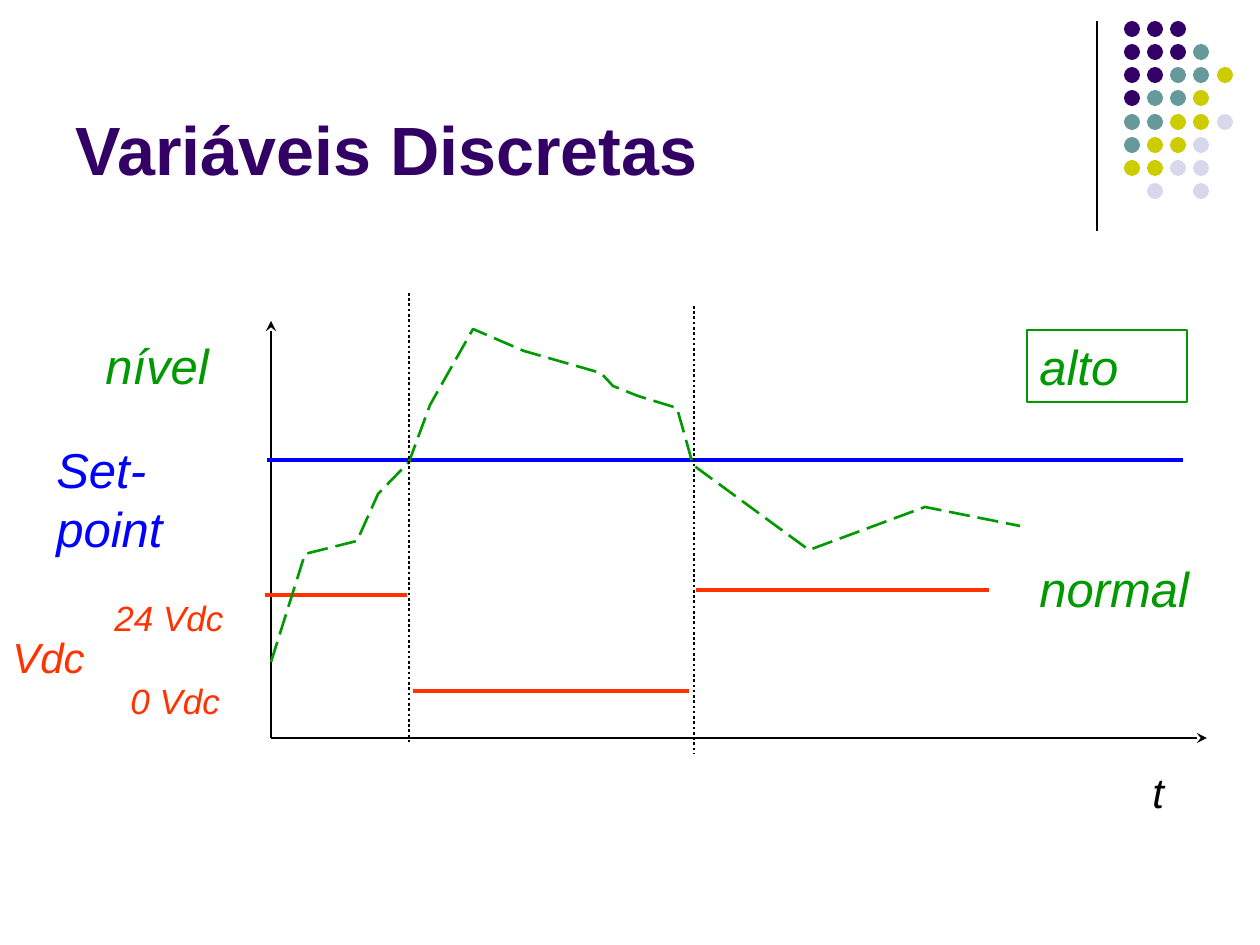
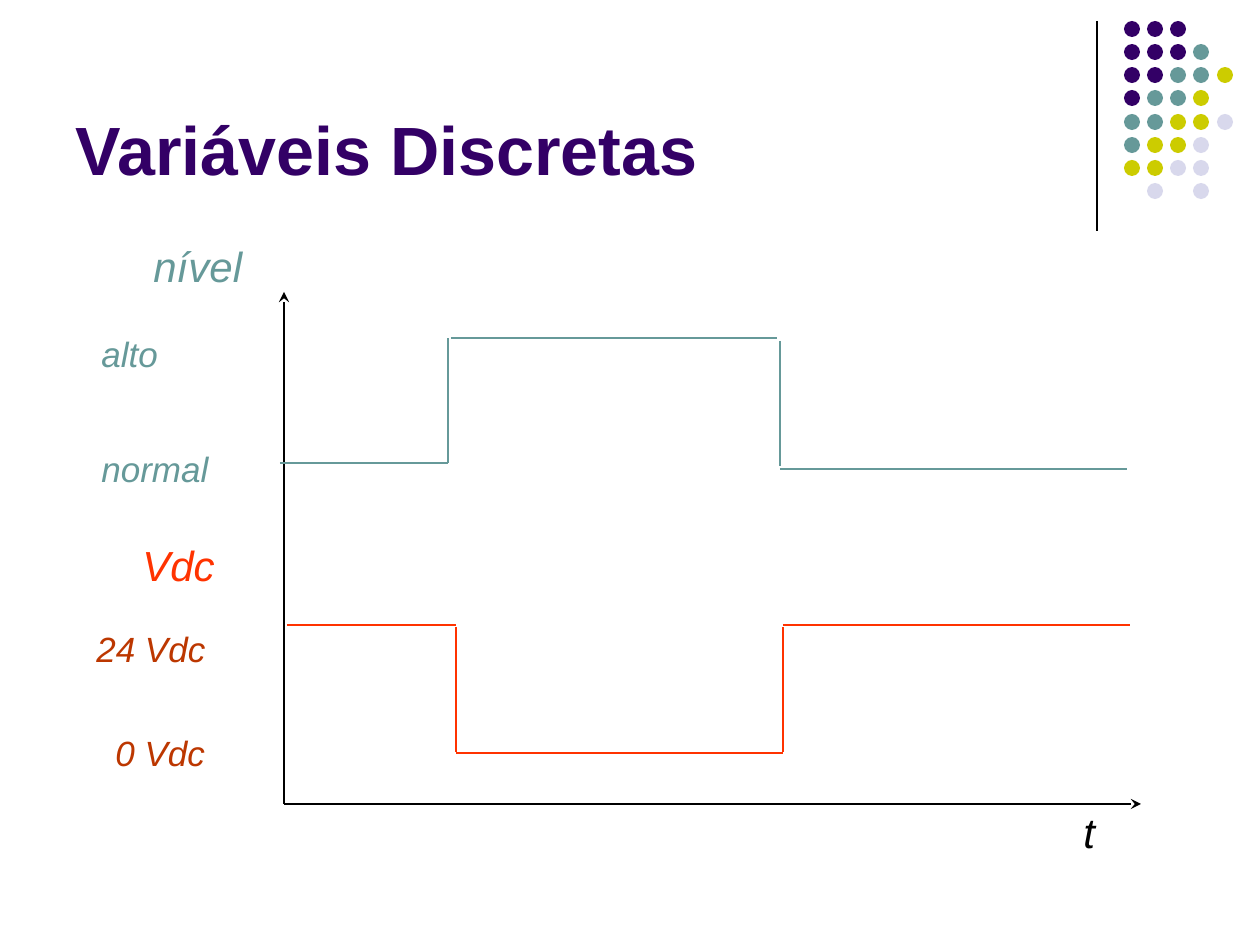
"""Build two slides that plot discrete variables: level, set-point and voltage."""
from lxml.etree import SubElement
from pptx import Presentation
from pptx.dml.color import RGBColor
from pptx.enum.dml import MSO_LINE
from pptx.enum.shapes import MSO_CONNECTOR, MSO_SHAPE
from pptx.enum.text import MSO_ANCHOR
from pptx.oxml.ns import qn
from pptx.util import Pt

PX = 914400 / 126
FONT = "Arial"
PURPLE = RGBColor(0x33, 0x00, 0x66)
TEAL = RGBColor(0x66, 0x99, 0x99)
OLIVE = RGBColor(0xCC, 0xCC, 0x00)
LILAC = RGBColor(0xD8, 0xD8, 0xEC)
BLACK = RGBColor(0x00, 0x00, 0x00)
WHITE = RGBColor(0xFF, 0xFF, 0xFF)
GREEN = RGBColor(0x00, 0x99, 0x00)
BLUE = RGBColor(0x00, 0x00, 0xFF)
RED = RGBColor(0xFF, 0x33, 0x00)
RUST = RGBColor(0xBC, 0x37, 0x00)

DOT_ROWS = ["PPP", "PPPT", "PPTTO", "PTTO", "TTOOL", "TOOL", "OOLL", " L L"]
DOT_COLORS = {"P": PURPLE, "T": TEAL, "O": OLIVE, "L": LILAC}
DOT_PITCH = 162 / 7


def add_text(page, text, area, *, size, color, bold=False, italic=True,
             anchor=MSO_ANCHOR.TOP, border=None):
    box = page.shapes.add_textbox(*[round(length * PX) for length in area])
    if border is not None:
        box.line.color.rgb = border
        box.line.width = Pt(0.75)
    frame = box.text_frame
    frame.word_wrap = True
    frame.vertical_anchor = anchor
    span = frame.paragraphs[0].add_run()
    span.text = text
    span.font.name = FONT
    span.font.size = Pt(size)
    span.font.bold = bold
    span.font.italic = italic
    span.font.color.rgb = color


def add_line(page, ends, color, width, dash=None, arrow=False):
    line = page.shapes.add_connector(
        MSO_CONNECTOR.STRAIGHT, *[round(length * PX) for length in ends])
    line.line.color.rgb = color
    line.line.width = Pt(width)
    if dash is not None:
        line.line.dash_style = dash
    properties = line._element.spPr
    if arrow:
        SubElement(properties.find(qn("a:ln")), qn("a:tailEnd"), type="stealth")
    SubElement(properties, qn("a:effectLst"))


deck = Presentation()
deck.slide_width = round(1260 * PX)
deck.slide_height = round(945 * PX)
level_page, states_page = [
    deck.slides.add_slide(deck.slide_layouts[6]) for _ in range(2)]

for page in (level_page, states_page):
    add_line(page, (1097, 21, 1097, 231), BLACK, 0.75)
    for row, letters in enumerate(DOT_ROWS):
        for column, letter in enumerate(letters):
            if letter == " ":
                continue
            left = round(1124 + column * DOT_PITCH)
            top = round(21 + row * DOT_PITCH)
            dot = page.shapes.add_shape(
                MSO_SHAPE.OVAL, *[round(length * PX) for length in (left, top, 16, 16)])
            dot.shadow.inherit = False
            dot.fill.solid()
            dot.fill.fore_color.rgb = DOT_COLORS[letter]
            dot.line.fill.background()
    add_text(page, "Variáveis Discretas", (63, 16, 1040, 179), size=39,
             color=PURPLE, bold=True, italic=False, anchor=MSO_ANCHOR.BOTTOM)

for page, left, bottom, top, right in (
        (level_page, 271, 738, 321, 1207), (states_page, 284, 804, 292, 1141)):
    add_line(page, (left, bottom, left, top), BLACK, 1, arrow=True)
    add_line(page, (left, bottom, right, bottom), BLACK, 1, arrow=True)

add_line(level_page, (267, 460, 1183, 460), BLUE, 2.25)
for start, end, height in ((265, 407, 595), (413, 689, 691), (696, 989, 590)):
    add_line(level_page, (start, height, end, height), RED, 2.25)

level_points = [
    (271, 662), (305, 554), (357, 541), (378, 494), (409, 462), (430, 405),
    (473, 329), (524, 351), (601, 373), (613, 386), (638, 396), (677, 408),
    (693, 465), (809, 550), (925, 507), (1020, 526)]
outline = level_page.shapes.build_freeform(*level_points[0], scale=PX)
outline.add_line_segments(level_points[1:], close=False)
curve = outline.convert_to_shape()
curve.shadow.inherit = False
curve.fill.background()
curve.line.color.rgb = GREEN
curve.line.width = Pt(1.5)
curve.line.dash_style = MSO_LINE.LONG_DASH

for crossing, top, bottom in ((409, 293, 742), (694, 306, 754)):
    add_line(level_page, (crossing, top, crossing, bottom), BLACK, 1.5,
             dash=MSO_LINE.ROUND_DOT)

level_labels = [
    ("t", (1140, 760, 67, 63), 24, BLACK, None),
    ("nível", (93, 329, 146, 72), 28, GREEN, None),
    ("Vdc", (0, 625, 115, 63), 24, RED, None),
    ("alto", (1027, 330, 160, 72), 28, GREEN, GREEN),
    ("normal", (1027, 552, 184, 72), 28, GREEN, None),
    ("24 Vdc", (102, 590, 160, 54), 20, RED, None),
    ("0 Vdc", (118, 673, 160, 54), 20, RED, None),
    ("Set-point", (44, 433, 210, 131), 28, BLUE, None)]

level_steps = [
    (280, 463, 448, 463), (448, 463, 448, 338), (451, 338, 777, 338),
    (780, 341, 780, 466), (780, 469, 1127, 469)]
voltage_steps = [
    (287, 625, 456, 625), (456, 627, 456, 752), (456, 753, 783, 753),
    (783, 752, 783, 627), (783, 625, 1130, 625)]
for steps, color in ((level_steps, TEAL), (voltage_steps, RED)):
    for step in steps:
        add_line(states_page, step, color, 1)

states_labels = [
    ("nível", (141, 234, 248, 63), 24, TEAL, None),
    ("Vdc", (130, 533, 136, 63), 24, RED, None),
    ("alto", (89, 326, 189, 54), 20, TEAL, None),
    ("normal", (89, 441, 189, 54), 20, TEAL, WHITE),
    ("24 Vdc", (84, 621, 189, 54), 20, RUST, None),
    ("0 Vdc", (103, 725, 189, 54), 20, RUST, None),
    ("t", (1071, 800, 79, 63), 24, BLACK, None)]

for page, labels in ((level_page, level_labels), (states_page, states_labels)):
    for text, area, size, color, border in labels:
        add_text(page, text, area, size=size, color=color, border=border)

deck.save("out.pptx")
